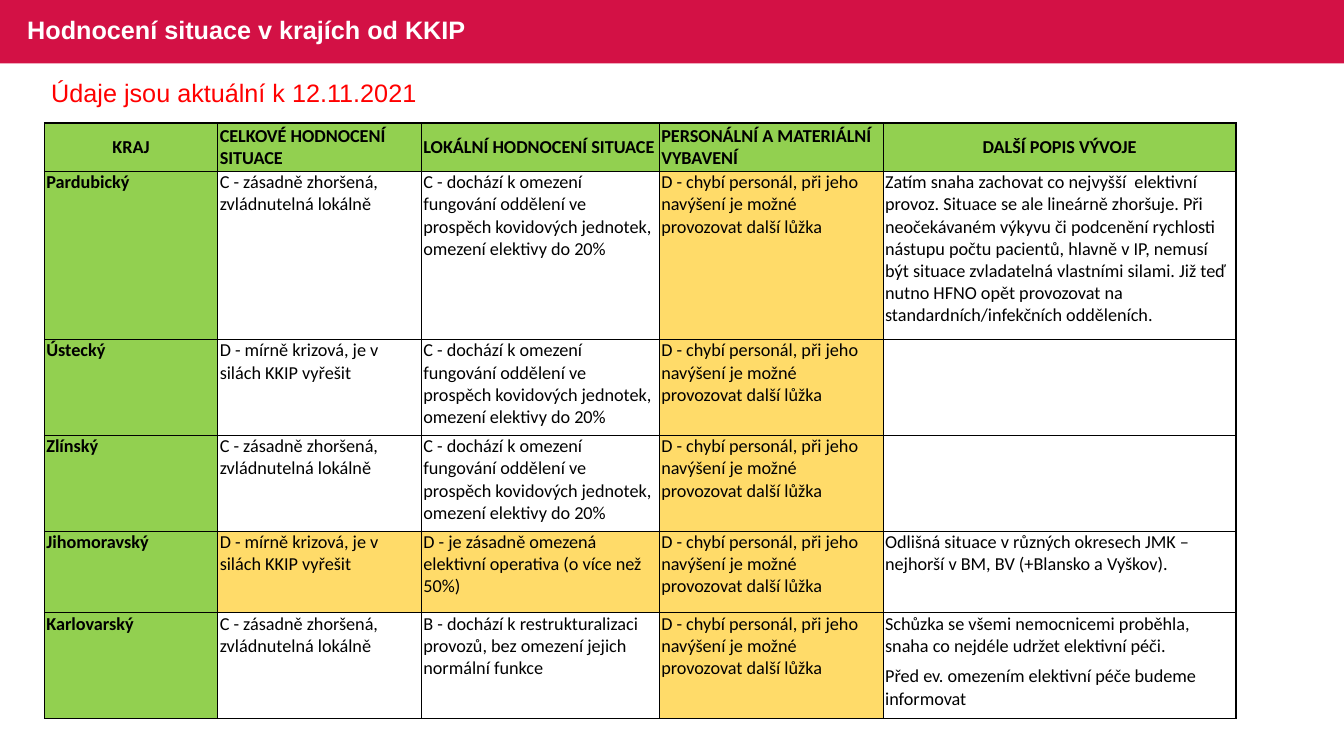
"""Builds the slide on the regional situation assessment."""
from lxml import etree
from pptx import Presentation
from pptx.dml.color import RGBColor
from pptx.enum.shapes import MSO_SHAPE
from pptx.enum.text import MSO_ANCHOR, PP_ALIGN
from pptx.oxml.ns import qn
from pptx.util import Inches, Pt

RECTANGLE = MSO_SHAPE.RECTANGLE
TOP, MIDDLE = MSO_ANCHOR.TOP, MSO_ANCHOR.MIDDLE
LEFT, CENTER = PP_ALIGN.LEFT, PP_ALIGN.CENTER

CRIMSON = RGBColor(0xD3, 0x11, 0x45)
WHITE = RGBColor(0xFF, 0xFF, 0xFF)
BLACK = RGBColor(0, 0, 0)
RED = RGBColor(0xFF, 0, 0)
GREEN = RGBColor(0x92, 0xD0, 0x50)
AMBER = RGBColor(0xFF, 0xDB, 0x69)

COLUMN_WIDTHS = [1.72, 2.02, 2.36, 2.22, 3.5]
ROW_HEIGHTS = [0.48, 1.67, 0.95, 0.95, 0.81, 1.05]
HEADINGS = ["KRAJ", "CELKOVÉ HODNOCENÍ SITUACE", "LOKÁLNÍ HODNOCENÍ SITUACE",
            "PERSONÁLNÍ A MATERIÁLNÍ VYBAVENÍ", "DALŠÍ POPIS VÝVOJE"]
CENTERED_HEADINGS = {0, 4}

WORSENED = "C - zásadně zhoršená, zvládnutelná lokálně"
CRISIS = "D - mírně krizová, je v silách KKIP vyřešit"
RESTRUCTURED = ("B - dochází k restrukturalizaci provozů, bez omezení jejich "
                "normální funkce")
REDUCED = ("C - dochází k omezení fungování oddělení ve prospěch kovidových "
           "jednotek, omezení elektivy do 20%")
LIMITED = "D - je zásadně omezená elektivní operativa (o více než 50%)"
UNDERSTAFFED = ("D - chybí personál, při jeho navýšení je možné provozovat "
                "další lůžka")
PARDUBICE_NOTE = (
    "Zatím snaha zachovat co nejvyšší  elektivní provoz. Situace se ale "
    "lineárně zhoršuje. Při neočekávaném výkyvu či podcenění rychlosti "
    "nástupu počtu pacientů, hlavně v IP, nemusí být situace zvladatelná "
    "vlastními silami. Již teď nutno HFNO opět provozovat na "
    "standardních/infekčních odděleních.")
BRNO_NOTE = ("Odlišná situace v různých okresech JMK – nejhorší v BM, BV "
             "(+Blansko a Vyškov).")
KARLOVY_VARY_NOTE = (
    "Schůzka se všemi nemocnicemi proběhla, snaha co nejdéle udržet elektivní "
    "péči.\nPřed ev. omezením elektivní péče budeme informovat")
REGIONS = [
    ["Pardubický", WORSENED, REDUCED, UNDERSTAFFED, PARDUBICE_NOTE],
    ["Ústecký", CRISIS, REDUCED, UNDERSTAFFED, ""],
    ["Zlínský", WORSENED, REDUCED, UNDERSTAFFED, ""],
    ["Jihomoravský", CRISIS, LIMITED, UNDERSTAFFED, BRNO_NOTE],
    ["Karlovarský", WORSENED, RESTRUCTURED, UNDERSTAFFED, KARLOVY_VARY_NOTE],
]
AMBER_CELLS = {(row, 3) for row in range(1, 6)} | {(4, 1), (4, 2)}


class SituationSlide:
    """Holds the slide and the text styles and draws each kind of element."""

    title_style = {"name": "Arial", "size": Pt(18), "bold": True}
    caption_style = {"name": "Arial", "size": Pt(18), "bold": False}
    cell_style = {"name": "Calibri", "size": Pt(13), "bold": False}
    cell_margins = {"margin_left": Inches(0.02), "margin_right": Inches(0.02),
                    "margin_top": 0, "margin_bottom": 0}

    def __init__(self, presentation):
        """Add a title-only slide."""
        self.slide = presentation.slides.add_slide(presentation.slide_layouts[5])

    def set_text(self, frame, text, style, color, align=LEFT):
        """Fill a text frame, one paragraph per line."""
        frame.text = text
        for index, paragraph in enumerate(frame.paragraphs):
            paragraph.alignment = align
            if index:
                paragraph.space_before = Pt(6)
            for name, value in style.items():
                setattr(paragraph.font, name, value)
            paragraph.font.color.rgb = color

    def place(self, shape, left, top, width, height):
        """Set a shape's position and size."""
        shape.left, shape.top = Inches(left), Inches(top)
        shape.width, shape.height = Inches(width), Inches(height)

    def title(self, text):
        """Format the title over a coloured band."""
        heading = self.slide.shapes.title
        self.place(heading, 0.17, 0, 8.14, 0.63)
        frame = heading.text_frame
        frame.vertical_anchor = MIDDLE
        self.set_text(frame, text, self.title_style, WHITE)
        frame.paragraphs[0].line_spacing = 0.9
        band = self.slide.shapes.add_shape(
            RECTANGLE, 0, 0, Inches(13.33), Inches(0.63))
        band.shadow.inherit = False
        band.fill.solid()
        band.fill.fore_color.rgb = CRIMSON
        band.line.fill.background()
        heading.element.addprevious(band.element)

    def caption(self, text, left, top, width, height):
        """Add a centred line of text."""
        box = self.slide.shapes.add_textbox(
            Inches(left), Inches(top), Inches(width), Inches(height))
        box.text_frame.word_wrap = True
        self.set_text(box.text_frame, text, self.caption_style, RED, CENTER)

    def border(self, cell):
        """Draw thin black lines round a cell."""
        properties = cell._tc.get_or_add_tcPr()
        for side in ("a:lnL", "a:lnR", "a:lnT", "a:lnB"):
            line = etree.SubElement(properties, qn(side), w=str(Pt(1)))
            fill = etree.SubElement(line, qn("a:solidFill"))
            etree.SubElement(fill, qn("a:srgbClr"), val=str(BLACK))

    def cell(self, cell, text, fill, bold, anchor, align):
        """Format one table cell."""
        for name, value in self.cell_margins.items():
            setattr(cell, name, value)
        cell.vertical_anchor = anchor
        self.border(cell)
        if fill is None:
            cell.fill.background()
        else:
            cell.fill.solid()
            cell.fill.fore_color.rgb = fill
        self.set_text(cell.text_frame, text, {**self.cell_style, "bold": bold},
                      BLACK, align)

    def assessment_table(self, left, top):
        """Add the table of regions."""
        table = self.slide.shapes.add_table(
            len(ROW_HEIGHTS), len(COLUMN_WIDTHS), Inches(left), Inches(top),
            Inches(sum(COLUMN_WIDTHS)), Inches(sum(ROW_HEIGHTS))).table
        table.horz_banding = False
        for column, width in zip(table.columns, COLUMN_WIDTHS):
            column.width = Inches(width)
        for row, height in zip(table.rows, ROW_HEIGHTS):
            row.height = Inches(height)
        for row, texts in enumerate([HEADINGS] + REGIONS):
            for column, text in enumerate(texts):
                header = row == 0
                label = header or column == 0
                amber = AMBER if (row, column) in AMBER_CELLS else None
                centered = header and column in CENTERED_HEADINGS
                self.cell(table.cell(row, column), text,
                          GREEN if label else amber, label,
                          MIDDLE if header else TOP,
                          CENTER if centered else LEFT)


def main():
    """Build and save the presentation."""
    presentation = Presentation()
    presentation.slide_width = Inches(13.33)
    presentation.slide_height = Inches(7.5)
    situation = SituationSlide(presentation)
    situation.title("Hodnocení situace v krajích od KKIP")
    situation.assessment_table(0.44, 1.22)
    situation.caption("Údaje jsou aktuální k 12.11.2021", -0.28, 0.72, 5.2, 0.4)
    presentation.save("out.pptx")


if __name__ == "__main__":
    main()
